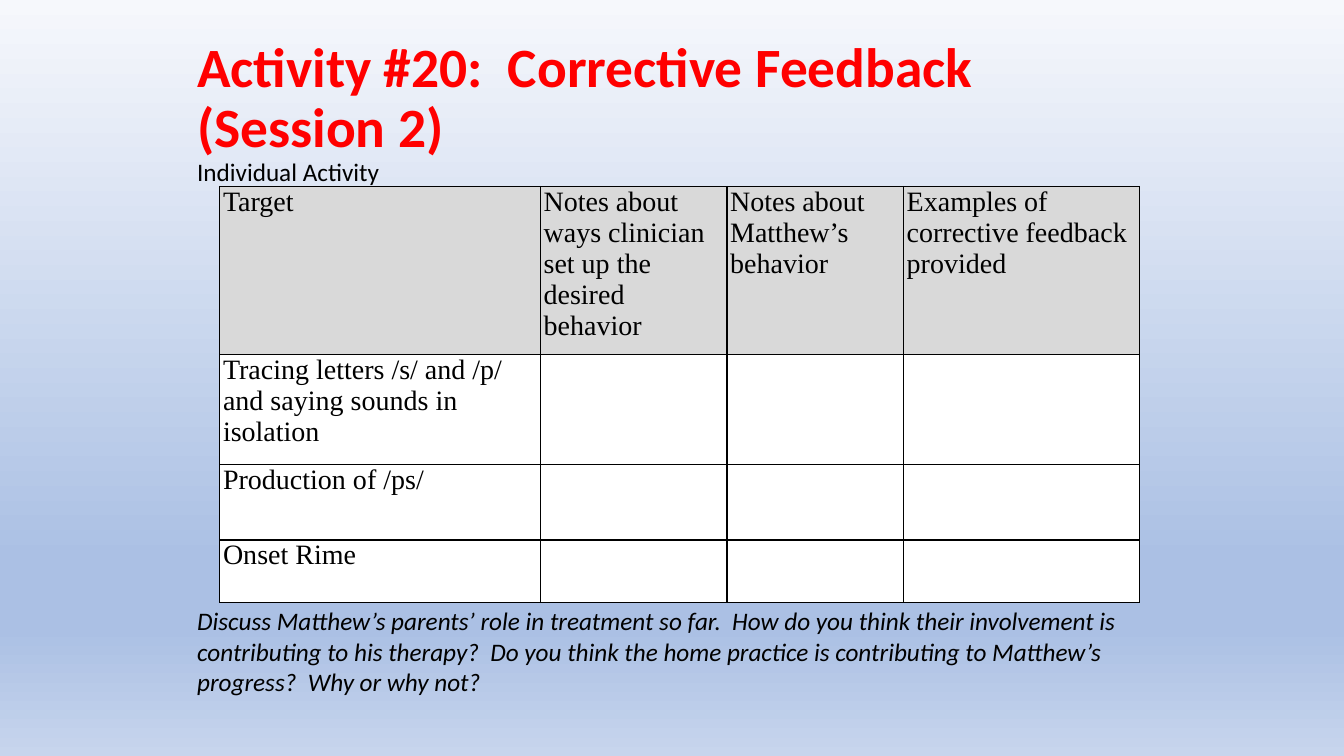
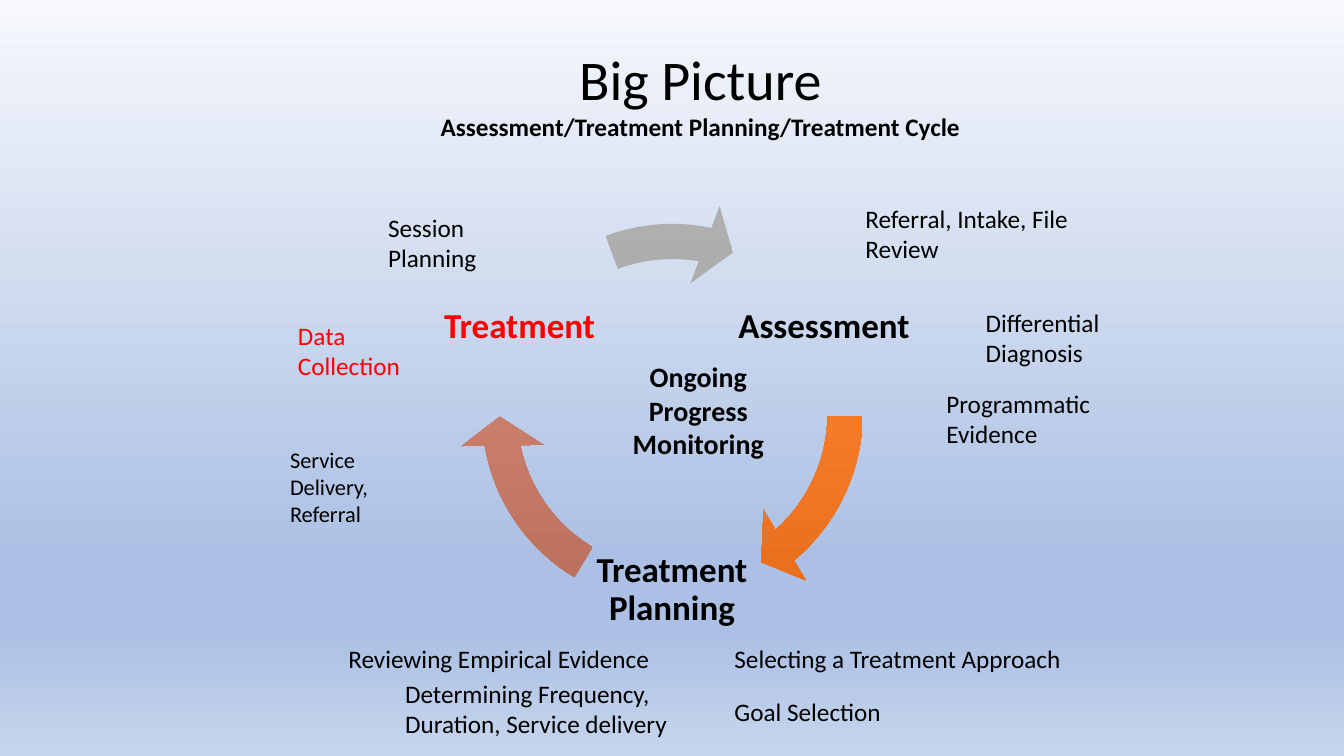
from lxml import etree
from pptx import Presentation
from pptx.dml.color import RGBColor
from pptx.enum import shapes, text
from pptx.oxml.ns import qn
from pptx.util import Cm, Pt

BLACK = RGBColor(0x00, 0x00, 0x00)
WHITE = RGBColor(0xFF, 0xFF, 0xFF)
RED = RGBColor(0xFF, 0x00, 0x00)
HEADER_GREY = RGBColor(0xD9, 0xD9, 0xD9)

SKY = [(0, RGBColor(0xF6, 0xF8, 0xFC)), (74, RGBColor(0xAB, 0xC0, 0xE4)),
       (83, RGBColor(0xAB, 0xC0, 0xE4)), (100, RGBColor(0xC7, 0xD5, 0xED))]
ORANGE = [(0, RGBColor(0xF1, 0x8C, 0x57)), (50, RGBColor(0xF6, 0x7B, 0x28)),
          (100, RGBColor(0xE5, 0x6C, 0x19))]
CLAY = [(0, RGBColor(0xCB, 0x8F, 0x81)), (50, RGBColor(0xC9, 0x7E, 0x6B)),
        (100, RGBColor(0xB7, 0x6D, 0x5B))]
GREY = [(0, RGBColor(0xAF, 0xAF, 0xAF)), (50, RGBColor(0xA5, 0xA5, 0xA5)),
        (100, RGBColor(0x93, 0x93, 0x93))]

SANS = "Calibri"
SERIF = "Times New Roman"

COLUMN_WIDTHS = [8.08, 4.7, 4.45, 5.94]
ROW_HEIGHTS = [3.91, 2.77, 1.9, 1.57]
TABLE_HEADINGS = ["Target", "Notes about ways clinician set up the desired behavior",
                  "Notes about Matthew’s behavior",
                  "Examples of corrective feedback provided"]
TARGETS = ["Tracing letters /s/ and /p/ and saying sounds in isolation",
           "Production of /ps/", "Onset Rime"]

# left, top, text, colour
STAGE_SIZE = 4.55
STAGES = [(18.49, 5.97, "Assessment", BLACK),
          (14.66, 12.6, "Treatment Planning", BLACK),
          (10.82, 5.97, "Treatment", RED)]

# stops, angle of the head and angle of the tail in degrees
ARROWS = [(ORANGE, 49.4, 0.86), (CLAY, 169.54, 121), (GREY, 280.95, 249.45)]

# left, top, width, height, text, size, colour
LABELS = [(21.56, 5, 6.07, 1.8, "Referral, Intake, File Review", 18, BLACK),
          (24.59, 7.62, 4.22, 1.8, "Differential Diagnosis", 18, BLACK),
          (8.53, 16.08, 9.12, 1.02, "Reviewing Empirical Evidence", 18, BLACK),
          (23.6, 9.65, 4.45, 1.8, "Programmatic Evidence", 18, BLACK),
          (18.26, 16.08, 9.78, 1.02, "Selecting a Treatment Approach", 18, BLACK),
          (9.96, 16.97, 8.31, 1.8,
           "Determining Frequency, Duration, Service delivery", 18, BLACK),
          (9.53, 5.23, 3.58, 1.8, "Session Planning", 18, BLACK),
          (7.26, 7.95, 3.56, 1.8, "Data Collection", 18, RED),
          (18.26, 17.42, 8, 1.02, "Goal Selection", 18, BLACK),
          (7.06, 11.13, 3.76, 2.31, "Service Delivery, Referral", 16, BLACK)]


def style(font, size, color=BLACK, name=SANS, bold=False, italic=False):
    font.name, font.size = name, Pt(size)
    font.bold, font.italic = bold, italic
    font.color.rgb = color


def fill_gradient(fill, owner, stops):
    """Fill from top to bottom with (percent, colour) stops; owner holds the fill."""
    fill.gradient()
    fill.gradient_angle = 270
    stop_list = owner.find(".//" + qn("a:gsLst"))
    for old_stop in list(stop_list):
        stop_list.remove(old_stop)
    for percent, color in stops:
        stop = etree.SubElement(stop_list, qn("a:gs"), pos=str(percent * 1000))
        etree.SubElement(stop, qn("a:srgbClr"), val=str(color))


def add_text(slide, left, top, width, height, content, size, color=BLACK,
             bold=False, italic=False, align=text.PP_ALIGN.LEFT):
    """Add a wrapping text box, one paragraph per line of content."""
    box = slide.shapes.add_textbox(Cm(left), Cm(top), Cm(width), Cm(height))
    frame = box.text_frame
    frame.word_wrap = True
    frame.text = content
    for para in frame.paragraphs:
        para.alignment = align
        for span in para.runs:
            style(span.font, size, color, bold=bold, italic=italic)
    return frame


def add_title(slide, title, subtitle):
    frame = add_text(slide, 4.72, 1.02, 23.98, 3.68, title, 39.6, RED, bold=True)
    frame.vertical_anchor = text.MSO_ANCHOR.MIDDLE
    para = frame.paragraphs[0]
    para.line_spacing = 0.9
    para.add_line_break()
    span = para.add_run()
    span.text = subtitle
    style(span.font, 18)


def add_borders(cell):
    properties = cell._tc.get_or_add_tcPr()
    for side in ("lnL", "lnR", "lnT", "lnB"):
        line = etree.SubElement(properties, qn("a:" + side), w=str(Pt(1)))
        paint = etree.SubElement(line, qn("a:solidFill"))
        etree.SubElement(paint, qn("a:srgbClr"), val=str(BLACK))


def add_feedback_table(slide):
    rows = [TABLE_HEADINGS] + [[target, "", "", ""] for target in TARGETS]
    table = slide.shapes.add_table(
        len(rows), len(COLUMN_WIDTHS), Cm(5.54), Cm(4.7),
        Cm(sum(COLUMN_WIDTHS)), Cm(sum(ROW_HEIGHTS))).table
    table.horz_banding = False
    table.first_row = False
    for column, width in zip(table.columns, COLUMN_WIDTHS):
        column.width = Cm(width)
    for row, height in zip(table.rows, ROW_HEIGHTS):
        row.height = Cm(height)
    for row_index, row in enumerate(rows):
        for column_index, content in enumerate(row):
            cell = table.cell(row_index, column_index)
            cell.margin_left = cell.margin_right = Cm(0.08)
            cell.margin_top = cell.margin_bottom = 0
            add_borders(cell)
            cell.fill.solid()
            cell.fill.fore_color.rgb = WHITE if row_index else HEADER_GREY
            cell.text = content
            style(cell.text_frame.paragraphs[0].font, 20, name=SERIF)
            for span in cell.text_frame.paragraphs[0].runs:
                style(span.font, 20, name=SERIF)


def add_stage(slide, left, top, name, color):
    frame = add_text(slide, left, top, STAGE_SIZE, STAGE_SIZE, name, 25, color,
                     bold=True, align=text.PP_ALIGN.CENTER)
    frame.vertical_anchor = text.MSO_ANCHOR.MIDDLE
    frame.margin_left = frame.margin_right = Cm(0.08)
    frame.margin_top = frame.margin_bottom = Cm(0.08)
    frame.paragraphs[0].line_spacing = 0.9


def add_cycle_arrow(slide, stops, head, tail):
    arrow = slide.shapes.add_shape(shapes.MSO_SHAPE.CIRCULAR_ARROW,
                                   Cm(11.56), Cm(5.05), Cm(10.77), Cm(10.77))
    arrow.shadow.inherit = False
    arrow.line.fill.background()
    degree = 0.6  # one degree in adjustment units
    for index, value in enumerate([0.082, 9.6 * degree, head * degree,
                                   tail * degree, 0.096]):
        arrow.adjustments[index] = value
    fill_gradient(arrow.fill, arrow.element, stops)


def build_activity(slide):
    add_title(slide, "Activity #20:  Corrective Feedback (Session 2)",
              "Individual Activity")
    add_feedback_table(slide)
    add_text(slide, 4.72, 15.14, 24.08, 2.57,
             "Discuss Matthew’s parents’ role in treatment so far.  How do you think "
             "their involvement is contributing to his therapy?  Do you think the home "
             "practice is contributing to Matthew’s progress?  Why or why not?",
             18, italic=True)


def build_big_picture(slide):
    for stage in STAGES:
        add_stage(slide, *stage)
    for arrow in ARROWS:
        add_cycle_arrow(slide, *arrow)
    center = text.PP_ALIGN.CENTER
    heading = add_text(slide, 7.26, 0.99, 20.78, 2.74,
                       "Big Picture\nAssessment/Treatment Planning/Treatment Cycle",
                       40, align=center)
    style(heading.paragraphs[1].runs[0].font, 18, bold=True)
    add_text(slide, 15.16, 8.94, 4.88, 2.82, "Ongoing Progress Monitoring", 20,
             bold=True, align=center)
    for label in LABELS:
        add_text(slide, *label)


def main():
    deck = Presentation()
    deck.slide_width, deck.slide_height = Cm(33.87), Cm(19.05)
    master = deck.slide_master
    fill_gradient(master.background.fill, master.element, SKY)
    blank = deck.slide_layouts[6]
    for build in (build_activity, build_big_picture):
        build(deck.slides.add_slide(blank))
    deck.save("out.pptx")


if __name__ == "__main__":
    main()
